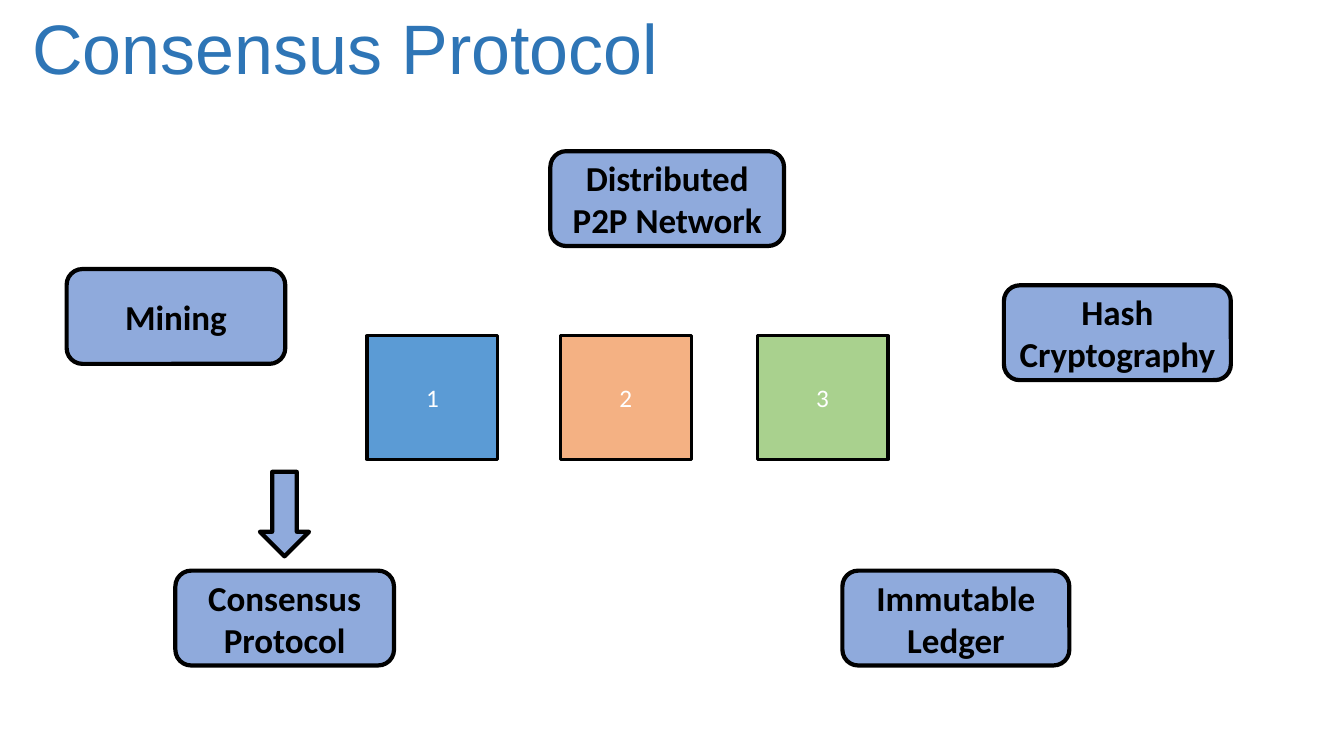
from pptx import Presentation
from pptx.dml.color import RGBColor
from pptx.enum.shapes import MSO_SHAPE
from pptx.enum.text import MSO_ANCHOR, PP_ALIGN
from pptx.util import Cm, Pt

BLACK = "000000"
WHITE = "FFFFFF"
TITLE_BLUE = "2E75B6"
CONCEPT_BLUE = "8FAADC"

CONCEPT_HEIGHT = 2.39
BLOCK_TOP, BLOCK_WIDTH, BLOCK_HEIGHT = 8.46, 3.3, 3.12

BLOCKS = [
    ("1", 9.25, "5B9BD5"),
    ("2", 14.12, "F4B183"),
    ("3", 19.08, "A9D18E"),
]
CONCEPTS = [
    ("Immutable Ledger", 21.23, 14.38, 5.72),
    ("Distributed P2P Network", 13.87, 3.81, 5.89),
    ("Consensus Protocol", 4.42, 14.38, 5.51),
    ("Mining", 1.68, 6.78, 5.51),
    ("Hash Cryptography", 25.3, 7.19, 5.72),
]


def rgb(color):
    return RGBColor.from_string(color)


def write(frame, text, font_name, size, color, bold=False):
    frame.word_wrap = True
    frame.text = text
    font = frame.paragraphs[0].runs[0].font
    font.name = font_name
    font.size = Pt(size)
    font.bold = bold
    font.color.rgb = rgb(color)


def add_title(slide, text):
    title = slide.shapes.add_textbox(Cm(0.56), Cm(0), Cm(28.85), Cm(2.39))
    write(title.text_frame, text, "Arial", 50, TITLE_BLUE)


def add_outlined(slide, preset, left, top, width, height, fill, line_width):
    outlined = slide.shapes.add_shape(preset, Cm(left), Cm(top), Cm(width), Cm(height))
    outlined.shadow.inherit = False
    outlined.fill.solid()
    outlined.fill.fore_color.rgb = rgb(fill)
    outlined.line.color.rgb = rgb(BLACK)
    outlined.line.width = Pt(line_width)
    return outlined


def add_label(outlined, text, size, color, bold=False):
    frame = outlined.text_frame
    write(frame, text, "Calibri", size, color, bold)
    frame.vertical_anchor = MSO_ANCHOR.MIDDLE
    frame.paragraphs[0].alignment = PP_ALIGN.CENTER


def add_block(slide, number, left, fill):
    block = add_outlined(slide, MSO_SHAPE.RECTANGLE, left, BLOCK_TOP,
                         BLOCK_WIDTH, BLOCK_HEIGHT, fill, 2.25)
    add_label(block, number, 18, WHITE)


def add_concept(slide, text, left, top, width):
    concept = add_outlined(slide, MSO_SHAPE.ROUNDED_RECTANGLE, left, top,
                           width, CONCEPT_HEIGHT, CONCEPT_BLUE, 3)
    add_label(concept, text, 25, BLACK, bold=True)


def main():
    deck = Presentation()
    deck.slide_width, deck.slide_height = Cm(33.87), Cm(19.05)
    slide = deck.slides.add_slide(deck.slide_layouts[6])
    add_title(slide, "Consensus Protocol")
    for number, left, fill in BLOCKS:
        add_block(slide, number, left, fill)
    for text, left, top, width in CONCEPTS:
        add_concept(slide, text, left, top, width)
    add_outlined(slide, MSO_SHAPE.DOWN_ARROW, 6.55, 11.89, 1.24, 2.13, CONCEPT_BLUE, 3)
    deck.save("out.pptx")


if __name__ == "__main__":
    main()
